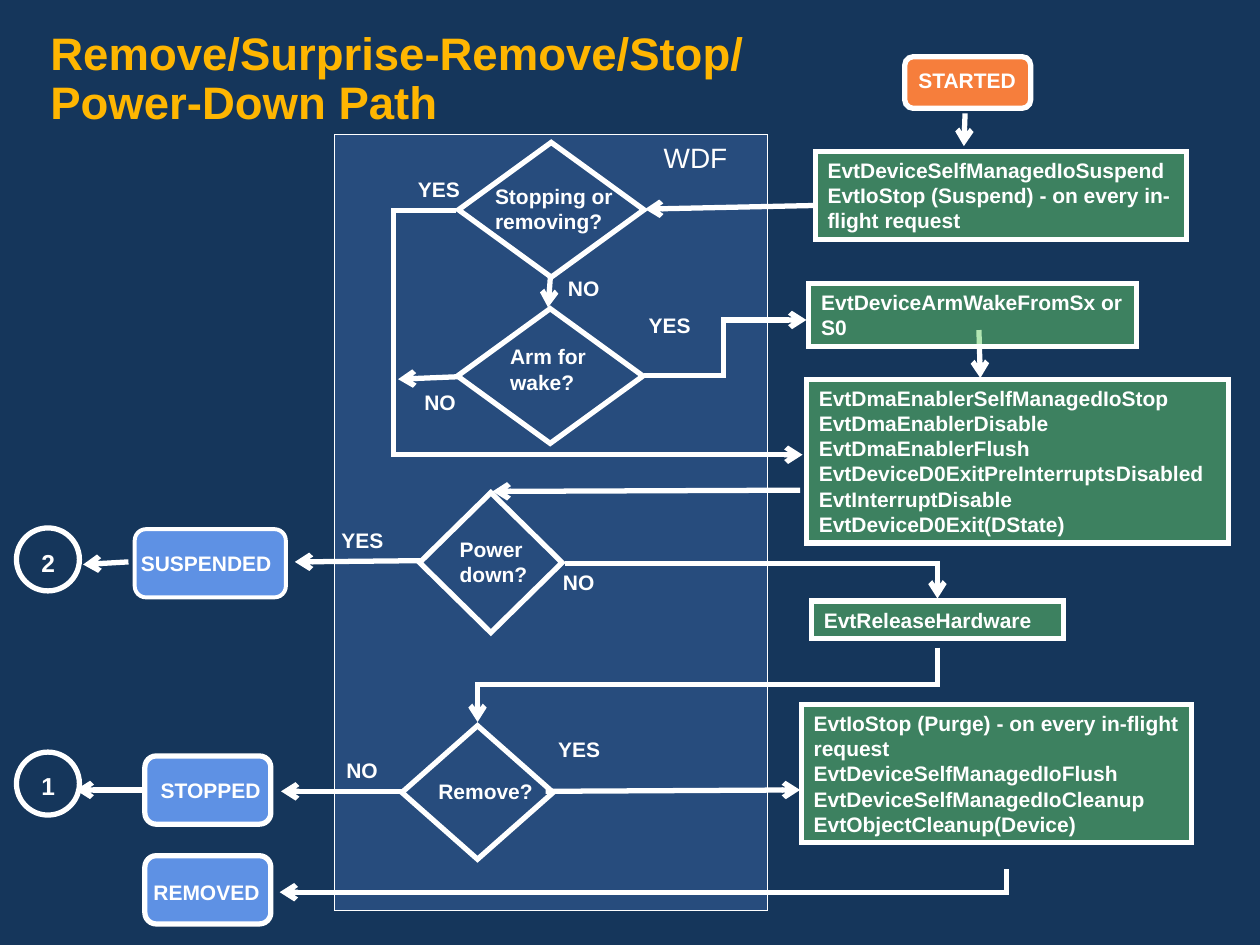
from dataclasses import dataclass
from typing import NamedTuple

import lxml.etree
import pptx
import pptx.dml.color
import pptx.enum.shapes
import pptx.enum.text
import pptx.oxml.ns
import pptx.util

Pt = pptx.util.Pt
qn = pptx.oxml.ns.qn
SHAPES = pptx.enum.shapes.MSO_SHAPE
CONNECTORS = pptx.enum.shapes.MSO_CONNECTOR
ALIGN = pptx.enum.text.PP_ALIGN
TOP = pptx.enum.text.MSO_ANCHOR.TOP

FONT = "Arial"
NAVY, BLUE, GREEN, ORANGE, GOLD, WHITE = (
    "15365B", "5E91E4", "66CC66", "F67E3C", "FFB601", "FFFFFF")
TITLE_LINES = ["Remove/Surprise-Remove/Stop/", "Power-Down Path"]


class Frame(NamedTuple):
    left: float
    top: float
    width: float
    height: float


class Point(NamedTuple):
    x: float
    y: float


@dataclass
class Node:
    kind: int
    frame: Frame
    fill: str | None = None
    opacity: int = 100
    line_width: float = 3
    lines: tuple[str, ...] = ()


@dataclass
class Label:
    text: str
    frame: Frame
    size: float = 12
    bold: bool = True
    align: int = ALIGN.LEFT


@dataclass
class Arrow:
    start: Point
    end: Point
    bends: int = 0
    bend_at: float = 0.5
    vertical_first: bool = False


def state(left: float, top: float, width: float = 72, height: float = 39,
          fill: str = BLUE, line_width: float = 3) -> Node:
    return Node(SHAPES.ROUNDED_RECTANGLE, Frame(left, top, width, height), fill,
                line_width=line_width)


def decision(*frame: float) -> Node:
    return Node(SHAPES.FLOWCHART_DECISION, Frame(*frame))


def callbacks(frame: Frame, *lines: str) -> Node:
    return Node(SHAPES.RECTANGLE, frame, GREEN, 50, lines=lines)


WDF_PANEL = Node(SHAPES.RECTANGLE, Frame(191, 77, 247.5, 443.5), BLUE, 25, 0.5)

ARROWS = [
    Arrow(Point(551.5, 64.8), Point(550.8, 83.5)),
    Arrow(Point(467.3, 117.4), Point(368.6, 119.5)),
    Arrow(Point(314.6, 157), Point(313.2, 175.7)),
    Arrow(Point(261.4, 215.3), Point(227.5, 216.7)),
    Arrow(Point(559.4, 188.6), Point(560.2, 216)),
    Arrow(Point(457.2, 280.1), Point(281.5, 280.8)),
    Arrow(Point(240.5, 320.4), Point(168.5, 321.1)),
    Arrow(Point(73.4, 321.1), Point(47.5, 322.6)),
    Arrow(Point(229.7, 452.2), Point(160.6, 452.2)),
    Arrow(Point(81.4, 451.4), Point(43.2, 451.4)),
    Arrow(Point(311.8, 452.2), Point(457.2, 451.4)),
    Arrow(Point(260.6, 120.2), Point(458.6, 259.9), 2, -0.18),
    Arrow(Point(367.9, 214.6), Point(460.8, 182.9), 2, 0.49),
    Arrow(Point(322.6, 321.8), Point(535.7, 342), 1),
    Arrow(Point(535.7, 370.1), Point(272.9, 412.6), 2, vertical_first=True),
    Arrow(Point(575.3, 496.8), Point(159.8, 509.8), 1, vertical_first=True),
]

NODES = [
    state(517, 32.4, height=29.5, fill=ORANGE),
    state(77, 302.4, width=86.4, line_width=2.25),
    state(82.8, 432),
    state(82.8, 489),
    Node(SHAPES.FLOWCHART_CONNECTOR, Frame(9.4, 301.7, 36, 36)),
    Node(SHAPES.FLOWCHART_CONNECTOR, Frame(9.4, 429.8, 36, 36)),
    decision(262, 81.4, 106, 77),
    decision(261.4, 176.4, 106, 77),
    decision(239.8, 281.5, 81.4, 80),
    decision(229.7, 414.7, 86.4, 76.3),
    callbacks(Frame(465.8, 86.4, 212.4, 50.4), "EvtDeviceSelfManagedIoSuspend",
              "EvtIoStop (Suspend) - on every in-flight request"),
    callbacks(Frame(462.2, 162, 187.2, 36), "EvtDeviceArmWakeFromSx or S0"),
    callbacks(Frame(460.8, 216.7, 241.2, 93.6), "EvtDmaEnablerSelfManagedIoStop",
              "EvtDmaEnablerDisable", "EvtDmaEnablerFlush",
              "EvtDeviceD0ExitPreInterruptsDisabled", "EvtInterruptDisable",
              "EvtDeviceD0Exit(DState)"),
    callbacks(Frame(463.7, 343.4, 144, 21.6), "EvtReleaseHardware"),
    callbacks(Frame(457.9, 402.5, 223.2, 79.2),
              "EvtIoStop (Purge) - on every in-flight request",
              "EvtDeviceSelfManagedIoFlush", "EvtDeviceSelfManagedIoCleanup",
              "EvtObjectCleanup(Device)"),
]

LABELS = [
    Label("WDF", Frame(370.8, 77, 53.3, 26.6), 16, False, ALIGN.CENTER),
    Label("STARTED", Frame(517.7, 35.3, 72.7, 21.6)),
    Label("SUSPENDED", Frame(73.4, 311, 97.2, 21.6)),
    Label("STOPPED", Frame(84.7, 440.6, 75.6, 21.6)),
    Label("REMOVED", Frame(80.6, 499, 75.6, 21.6)),
    Label("2", Frame(16.6, 309.6, 32.4, 24.5), 14),
    Label("1", Frame(16.6, 437, 32.4, 24.5), 14),
    Label("Stopping or removing?", Frame(275.8, 101.5, 95.8, 36)),
    Label("Arm for wake?", Frame(284.4, 193, 70.6, 36)),
    Label("Power down?", Frame(255.6, 303.1, 75.6, 36)),
    Label("Remove?", Frame(243.4, 441.4, 75.6, 21.6)),
    Label("YES", Frame(231.8, 97.2, 48.2, 21.6)),
    Label("NO", Frame(317.5, 154, 48.2, 21.6)),
    Label("YES", Frame(363.6, 175, 48.2, 21.6)),
    Label("NO", Frame(235.4, 218.9, 48.2, 21.6)),
    Label("YES", Frame(188, 298, 39.6, 21.6)),
    Label("NO", Frame(314.6, 321.8, 39.6, 21.6)),
    Label("NO", Frame(190.8, 429.1, 39.6, 21.6)),
    Label("YES", Frame(311.8, 417.6, 39.6, 21.6)),
]


def color(value: str) -> pptx.dml.color.RGBColor:
    return pptx.dml.color.RGBColor.from_string(value)


def add_run(paragraph, text: str, size: float = 12, bold: bool = True,
            text_color: str = WHITE) -> None:
    run = paragraph.add_run()
    run.text = text
    run.font.name, run.font.size, run.font.bold = FONT, Pt(size), bold
    run.font.color.rgb = color(text_color)


def style_line(shape, width: float):
    """Set a white line with sharp corners and return its XML element."""
    shape.line.color.rgb = color(WHITE)
    shape.line.width = Pt(width)
    line = shape._element.spPr.find(qn("a:ln"))
    lxml.etree.SubElement(line, qn("a:miter"), lim="800000")
    return line


def draw_node(slide, node: Node) -> None:
    shape = slide.shapes.add_shape(node.kind, *map(Pt, node.frame))
    shape.shadow.inherit = False
    if node.fill:
        shape.fill.solid()
        shape.fill.fore_color.rgb = color(node.fill)
        if node.opacity < 100:
            fill = shape._element.spPr.find(qn("a:solidFill"))
            lxml.etree.SubElement(fill[0], qn("a:alpha"), val=str(node.opacity * 1000))
    else:
        shape.fill.background()
    style_line(shape, node.line_width)
    frame = shape.text_frame
    frame.word_wrap, frame.vertical_anchor = True, TOP
    for index, text in enumerate(node.lines):
        paragraph = frame.add_paragraph() if index else frame.paragraphs[0]
        paragraph.alignment = ALIGN.LEFT
        add_run(paragraph, text)


def draw_label(slide, label: Label) -> None:
    frame = slide.shapes.add_textbox(*map(Pt, label.frame)).text_frame
    frame.word_wrap = True
    frame.paragraphs[0].alignment = label.align
    add_run(frame.paragraphs[0], label.text, label.size, label.bold)


def draw_arrow(slide, arrow: Arrow) -> None:
    start, end = arrow.start, arrow.end
    if arrow.vertical_first:  # a quarter turn about the midpoint
        middle = Point((start.x + end.x) / 2, (start.y + end.y) / 2)
        across, down = (end.y - start.y) / 2, (start.x - end.x) / 2
        start = Point(middle.x - across, middle.y - down)
        end = Point(middle.x + across, middle.y + down)
    kind = CONNECTORS.ELBOW if arrow.bends else CONNECTORS.STRAIGHT
    connector = slide.shapes.add_connector(kind, *map(Pt, start + end))
    properties = connector._element.spPr
    if arrow.vertical_first:
        properties.find(qn("a:xfrm")).set("rot", str(90 * 60000))
    geometry = properties.find(qn("a:prstGeom"))
    if arrow.bends == 1:
        geometry.set("prst", "bentConnector2")
    elif arrow.bends == 2:
        lxml.etree.SubElement(geometry.find(qn("a:avLst")), qn("a:gd"), name="adj1",
                              fmla=f"val {round(arrow.bend_at * 100000)}")
    line = style_line(connector, 3)
    lxml.etree.SubElement(line, qn("a:tailEnd"), type="arrow")
    lxml.etree.SubElement(properties, qn("a:effectLst"))


def fill_title(title) -> None:
    title.left, title.top, title.width, title.height = map(Pt, (0, 0, 720, 45))
    frame = title.text_frame
    frame.word_wrap, frame.vertical_anchor = True, TOP
    frame.auto_size = pptx.enum.text.MSO_AUTO_SIZE.NONE
    frame.margin_left = frame.margin_right = Pt(28.8)
    frame.margin_top, frame.margin_bottom = Pt(18), Pt(3.6)
    paragraph = frame.paragraphs[0]
    paragraph.alignment, paragraph.line_spacing = ALIGN.LEFT, 0.9
    for index, text in enumerate(TITLE_LINES):
        if index:
            paragraph.add_line_break()
        add_run(paragraph, text, 26, text_color=GOLD)


def main() -> None:
    presentation = pptx.Presentation()
    presentation.slide_width, presentation.slide_height = Pt(720), Pt(540)
    slide = presentation.slides.add_slide(presentation.slide_layouts[5])
    slide.background.fill.solid()
    slide.background.fill.fore_color.rgb = color(NAVY)
    fill_title(slide.shapes.title)
    draw_node(slide, WDF_PANEL)
    for arrow in ARROWS:
        draw_arrow(slide, arrow)
    for node in NODES:
        draw_node(slide, node)
    for label in LABELS:
        draw_label(slide, label)
    presentation.save("out.pptx")


if __name__ == "__main__":
    main()
